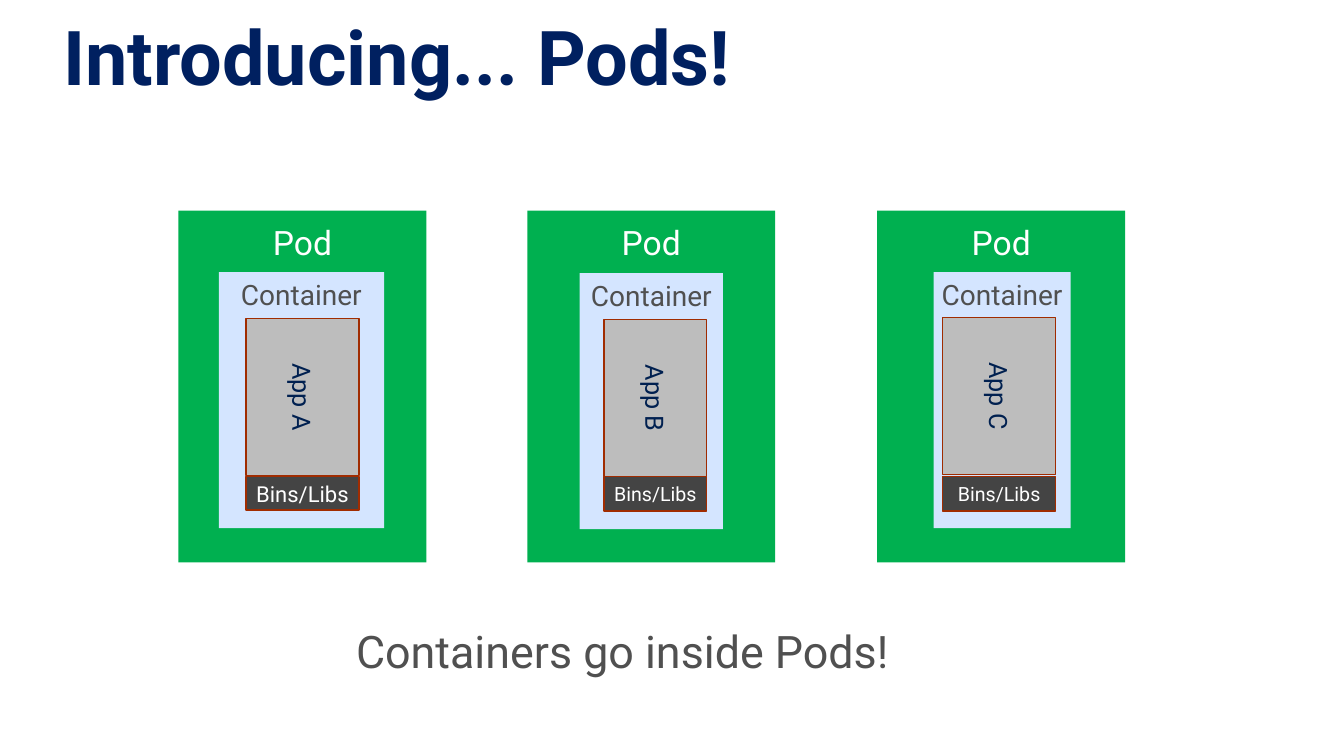
from pptx import Presentation
from pptx import util as u
from pptx.dml.color import RGBColor
from pptx.enum import shapes, text

HUES = {
    "title": "002060",
    "pod": "00B050",
    "box": "D4E5FF",
    "app": "BDBDBD",
    "libs": "444444",
    "edge": "A02C01",
    "gray": "505050",
    "navy": "002050",
    "white": "FFFFFF",
}
TOP, MID = text.MSO_ANCHOR.TOP, text.MSO_ANCHOR.MIDDLE
WIDE = (0.2, 0.16)

# App name, pod left, container (left, top, width), app (left, top, width),
# libs (height, text size); offsets are from the pod's corner.
PODS = [
    ("App A", 1.77, (0.4, 0.61, 1.64), (0.67, 1.07, 1.12), (0.33, 15.7)),
    ("App B", 5.23, (0.52, 0.62, 1.42), (0.76, 1.08, 1.02), (0.34, 14)),
    ("App C", 8.7, (0.56, 0.61, 1.36), (0.65, 1.06, 1.12), (0.34, 14)),
]
POD_TOP, LIBS_TOP = 2.09, 2.64


def hue(name):
    return RGBColor.from_string(HUES[name])


def write(shape, words, size, color, bold=False, align=text.PP_ALIGN.CENTER,
          anchor=TOP, pad=(0.1, 0.05), space=1.0, wrap=True, turn=False):
    frame = shape.text_frame
    frame.word_wrap = wrap
    frame.auto_size = text.MSO_AUTO_SIZE.NONE
    frame.vertical_anchor = anchor
    frame.margin_left = frame.margin_right = u.Inches(pad[0])
    frame.margin_top = frame.margin_bottom = u.Inches(pad[1])
    if turn:
        frame._txBody.bodyPr.set("vert", "vert")
    para = frame.paragraphs[0]
    para.alignment, para.line_spacing = align, space
    run = para.add_run()
    run.text = words
    font = run.font
    font.name, font.size, font.bold = "Roboto", u.Pt(size), bold
    font.color.rgb = hue(color)


def block(slide, box, fill, edge=None):
    shape = slide.shapes.add_shape(shapes.MSO_SHAPE.RECTANGLE, *map(u.Inches, box))
    shape.shadow.inherit = False
    shape.fill.solid()
    shape.fill.fore_color.rgb = hue(fill)
    if edge:
        shape.line.color.rgb = hue(edge)
        shape.line.width = u.Pt(0.85)
    else:
        shape.line.fill.background()
    return shape


def title(slide, box, words):
    head = slide.shapes.title
    head.left, head.top, head.width, head.height = map(u.Inches, box)
    write(head, words, 54, "title", bold=True, align=text.PP_ALIGN.LEFT,
          anchor=text.MSO_ANCHOR.BOTTOM, space=0.9)


def pod(slide, left, top, name, case, app, libs):
    """Draw a pod holding a container with an app on top of its libraries."""
    write(block(slide, (left, top, 2.46, 3.49), "pod"), "Pod", 24, "white",
          pad=WIDE, space=0.9)

    x, y, wide = case
    write(block(slide, (left + x, top + y, wide, 2.54), "box"), "Container", 20,
          "gray", pad=(0, 0.05))

    x, y, wide = app
    tall, size = libs
    write(block(slide, (left + x, top + LIBS_TOP, wide, tall), "libs", "edge"),
          "Bins/Libs", size, "white", anchor=MID, wrap=False)
    write(block(slide, (left + x, top + y, wide, 1.56), "app", "edge"), name, 18,
          "navy", anchor=MID, turn=True)


def caption(slide, box, words):
    note = slide.shapes.add_textbox(*map(u.Inches, box))
    write(note, words, 32, "gray", pad=WIDE, space=0.9)
    note.text_frame.paragraphs[0].space_after = u.Pt(6)


def main():
    deck = Presentation()
    deck.slide_width, deck.slide_height = u.Inches(13.33), u.Inches(7.5)
    slide = deck.slides.add_slide(deck.slide_layouts[5])
    title(slide, (0.53, 0.09, 12.24, 0.97), "Introducing... Pods!")
    for name, left, case, app, libs in PODS:
        pod(slide, left, POD_TOP, name, case, app, libs)
    caption(slide, (1.93, 6.09, 8.49, 0.81), "Containers go inside Pods!")
    deck.save("out.pptx")


if __name__ == "__main__":
    main()
